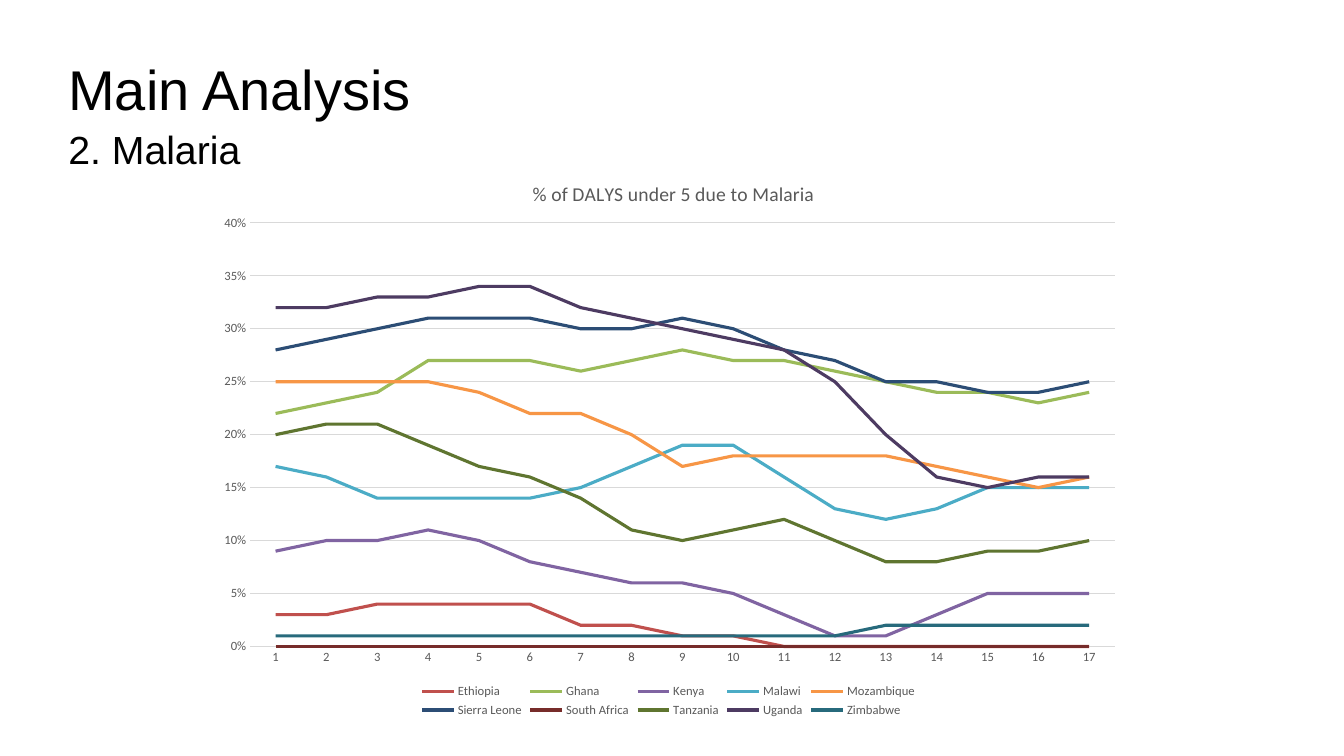
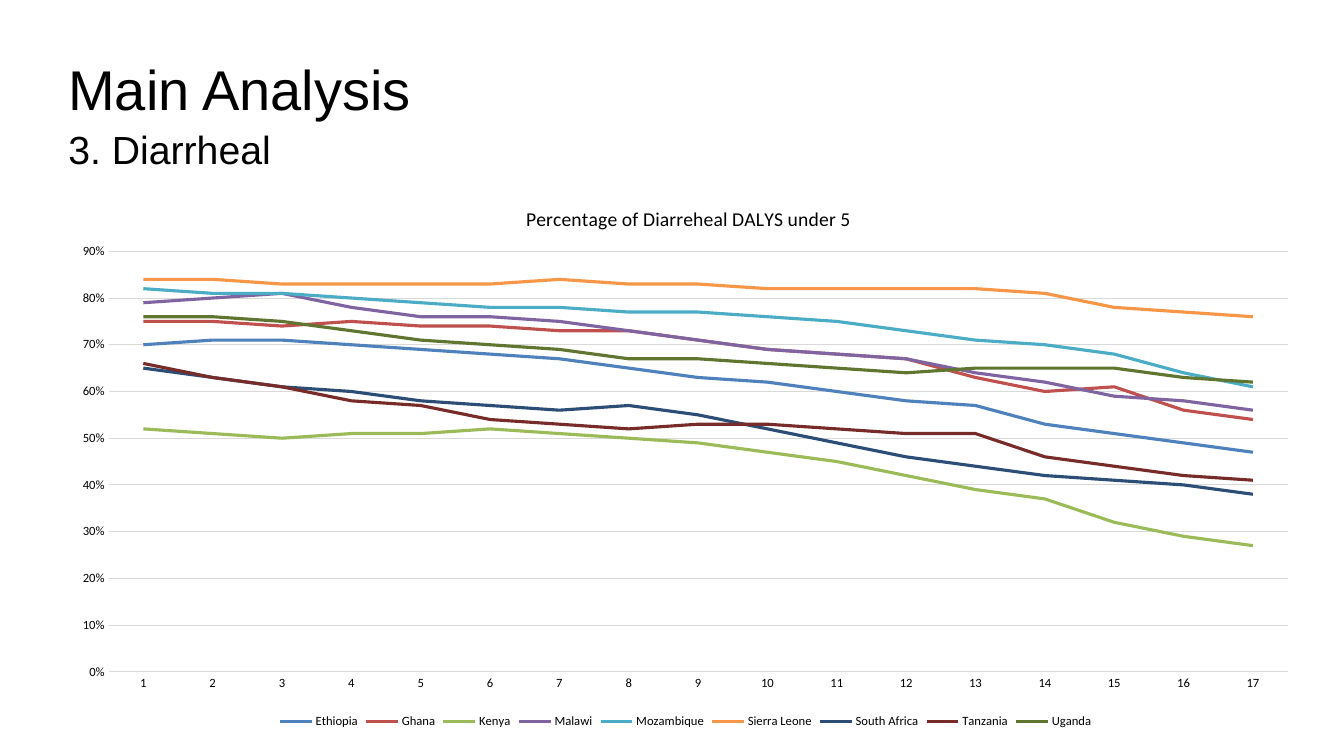
from dataclasses import dataclass

from lxml import etree
from pptx import Presentation
from pptx import util as u
from pptx.chart.data import CategoryChartData
from pptx.dml.color import RGBColor
from pptx.enum import chart as charts, text
from pptx.oxml.ns import qn


@dataclass(frozen=True)
class Theme:
    title_font: str = "Arial"
    chart_font: str = "Calibri"
    black: str = "000000"
    gray: str = "595959"
    rule: str = "D9D9D9"
    title_size: int = 40
    subtitle_size: int = 28
    chart_title_size: int = 14
    label_size: int = 9
    rule_width: float = 0.75
    line_width: float = 2.25
    palette: tuple = ("4F81BD", "C0504D", "9BBB59", "8064A2", "4BACC6", "F79646",
                      "2C4D75", "772C2A", "5F7530", "4D3B62", "276A7C")


THEME = Theme()
YEARS = [str(year) for year in range(1, 18)]

MALARIA = {
    "Ethiopia": [3, 3, 4, 4, 4, 4, 2, 2, 1, 1, 0, 0, 0, 0, 0, 0, 0],
    "Ghana": [22, 23, 24, 27, 27, 27, 26, 27, 28, 27, 27, 26, 25, 24, 24, 23, 24],
    "Kenya": [9, 10, 10, 11, 10, 8, 7, 6, 6, 5, 3, 1, 1, 3, 5, 5, 5],
    "Malawi": [17, 16, 14, 14, 14, 14, 15, 17, 19, 19, 16, 13, 12, 13, 15, 15, 15],
    "Mozambique": [25, 25, 25, 25, 24, 22, 22, 20, 17, 18, 18, 18, 18, 17, 16, 15, 16],
    "Sierra Leone": [28, 29, 30, 31, 31, 31, 30, 30, 31, 30, 28, 27, 25, 25, 24, 24, 25],
    "South Africa": [0] * len(YEARS),
    "Tanzania": [20, 21, 21, 19, 17, 16, 14, 11, 10, 11, 12, 10, 8, 8, 9, 9, 10],
    "Uganda": [32, 32, 33, 33, 34, 34, 32, 31, 30, 29, 28, 25, 20, 16, 15, 16, 16],
    "Zimbabwe": [1, 1, 1, 1, 1, 1, 1, 1, 1, 1, 1, 1, 2, 2, 2, 2, 2],
}

DIARRHEAL = {
    "Ethiopia": [70, 71, 71, 70, 69, 68, 67, 65, 63, 62, 60, 58, 57, 53, 51, 49, 47],
    "Ghana": [75, 75, 74, 75, 74, 74, 73, 73, 71, 69, 68, 67, 63, 60, 61, 56, 54],
    "Kenya": [52, 51, 50, 51, 51, 52, 51, 50, 49, 47, 45, 42, 39, 37, 32, 29, 27],
    "Malawi": [79, 80, 81, 78, 76, 76, 75, 73, 71, 69, 68, 67, 64, 62, 59, 58, 56],
    "Mozambique": [82, 81, 81, 80, 79, 78, 78, 77, 77, 76, 75, 73, 71, 70, 68, 64, 61],
    "Sierra Leone": [84, 84, 83, 83, 83, 83, 84, 83, 83, 82, 82, 82, 82, 81, 78, 77, 76],
    "South Africa": [65, 63, 61, 60, 58, 57, 56, 57, 55, 52, 49, 46, 44, 42, 41, 40, 38],
    "Tanzania": [66, 63, 61, 58, 57, 54, 53, 52, 53, 53, 52, 51, 51, 46, 44, 42, 41],
    "Uganda": [76, 76, 75, 73, 71, 70, 69, 67, 67, 66, 65, 64, 65, 65, 65, 63, 62],
}


def style_font(font, *, size, color=THEME.black, name=THEME.chart_font):
    font.size = u.Pt(size)
    font.name = name
    font.bold = False
    font.color.rgb = RGBColor.from_string(color)


def write(paragraph, words, **style):
    run = paragraph.add_run()
    run.text = words
    style_font(run.font, **style)


def style_line(line, color, width):
    line.color.rgb = RGBColor.from_string(color)
    line.width = u.Pt(width)


def add_heading(slide, topic):
    heading = slide.shapes.add_textbox(u.Inches(0.58), u.Inches(0.45),
                                       u.Inches(9.52), u.Inches(1.08))
    frame = heading.text_frame
    frame.word_wrap = True
    frame.vertical_anchor = text.MSO_ANCHOR.TOP
    lines = frame.paragraphs[0]
    lines.line_spacing = 1.07
    write(lines, "Main Analysis", size=THEME.title_size, name=THEME.title_font)
    lines.add_line_break()
    write(lines, topic, size=THEME.subtitle_size, name=THEME.title_font)


def place_part(part, position, *, index=1, inner=False):
    for old in part.findall(qn("c:layout")):
        part.remove(old)
    layout = etree.Element(qn("c:layout"))
    part.insert(index, layout)
    manual = etree.SubElement(layout, qn("c:manualLayout"))
    settings = [("layoutTarget", "inner")] if inner else []
    settings += [("xMode", "edge"), ("yMode", "edge")]
    settings += zip("xywh", position)
    for tag, value in settings:
        etree.SubElement(manual, qn(f"c:{tag}")).set("val", str(value))


def style_axes(chart, color, top, step):
    years, shares = chart.category_axis, chart.value_axis
    for axis in (years, shares):
        axis.major_tick_mark = charts.XL_TICK_MARK.NONE
        axis.minor_tick_mark = charts.XL_TICK_MARK.NONE
        style_font(axis.tick_labels.font, size=THEME.label_size, color=color)
    style_line(years.format.line, THEME.rule, THEME.rule_width)
    shares.format.line.fill.background()
    shares.minimum_scale = 0
    shares.maximum_scale = top
    shares.major_unit = step
    shares.tick_labels.number_format = "0%"
    shares.tick_labels.number_format_is_linked = False
    shares.has_major_gridlines = True
    style_line(shares.major_gridlines.format.line, THEME.rule, THEME.rule_width)


def add_trends(slide, title, countries, box, *, top, step, palette, color,
               title_at, plot_at, legend_at=None):
    shares = CategoryChartData(number_format="0%")
    shares.categories = YEARS
    for country, percents in countries.items():
        shares.add_series(country, [percent / 100 for percent in percents])
    chart = slide.shapes.add_chart(charts.XL_CHART_TYPE.LINE,
                                   *map(u.Inches, box), shares).chart
    style_font(chart.font, size=10)

    chart.has_title = True
    write(chart.chart_title.text_frame.paragraphs[0], title,
          size=THEME.chart_title_size, color=color)
    chart.chart_title.include_in_layout = False
    place_part(chart.chart_title._element, title_at)

    style_axes(chart, color, top, step)
    plot = chart.plots[0]
    plot.vary_by_categories = False
    place_part(plot._element.getparent(), plot_at, index=0, inner=True)
    for trend, hue in zip(plot.series, palette):
        trend.smooth = False
        trend.marker.style = charts.XL_MARKER_STYLE.NONE
        style_line(trend.format.line, hue, THEME.line_width)

    chart.has_legend = True
    legend = chart.legend
    legend.position = charts.XL_LEGEND_POSITION.BOTTOM
    legend.include_in_layout = False
    style_font(legend.font, size=THEME.label_size, color=color)
    if legend_at:
        place_part(legend._element, legend_at)


def main():
    deck = Presentation()
    deck.slide_width = u.Inches(13.33)
    deck.slide_height = u.Inches(7.5)
    blank = deck.slide_layouts[6]

    malaria = deck.slides.add_slide(blank)
    add_heading(malaria, "2. Malaria")
    add_trends(malaria, "% of DALYS under 5 due to Malaria", MALARIA,
               (2.02, 1.53, 9.22, 5.68), top=0.4, step=0.05,
               palette=THEME.palette[1:], color=THEME.gray,
               title_at=(0.35, 0.04), plot_at=(0.05, 0.12, 0.93, 0.74),
               legend_at=(0.23, 0.92, 0.54, 0.07))

    diarrheal = deck.slides.add_slide(blank)
    add_heading(diarrheal, "3. Diarrheal")
    add_trends(diarrheal, "Percentage of Diarreheal DALYS under 5", DIARRHEAL,
               (0.58, 1.78, 12.44, 5.49), top=0.9, step=0.1,
               palette=THEME.palette, color=THEME.black,
               title_at=(0.37, 0.04), plot_at=(0.04, 0.13, 0.94, 0.76))

    deck.save("out.pptx")


main()
